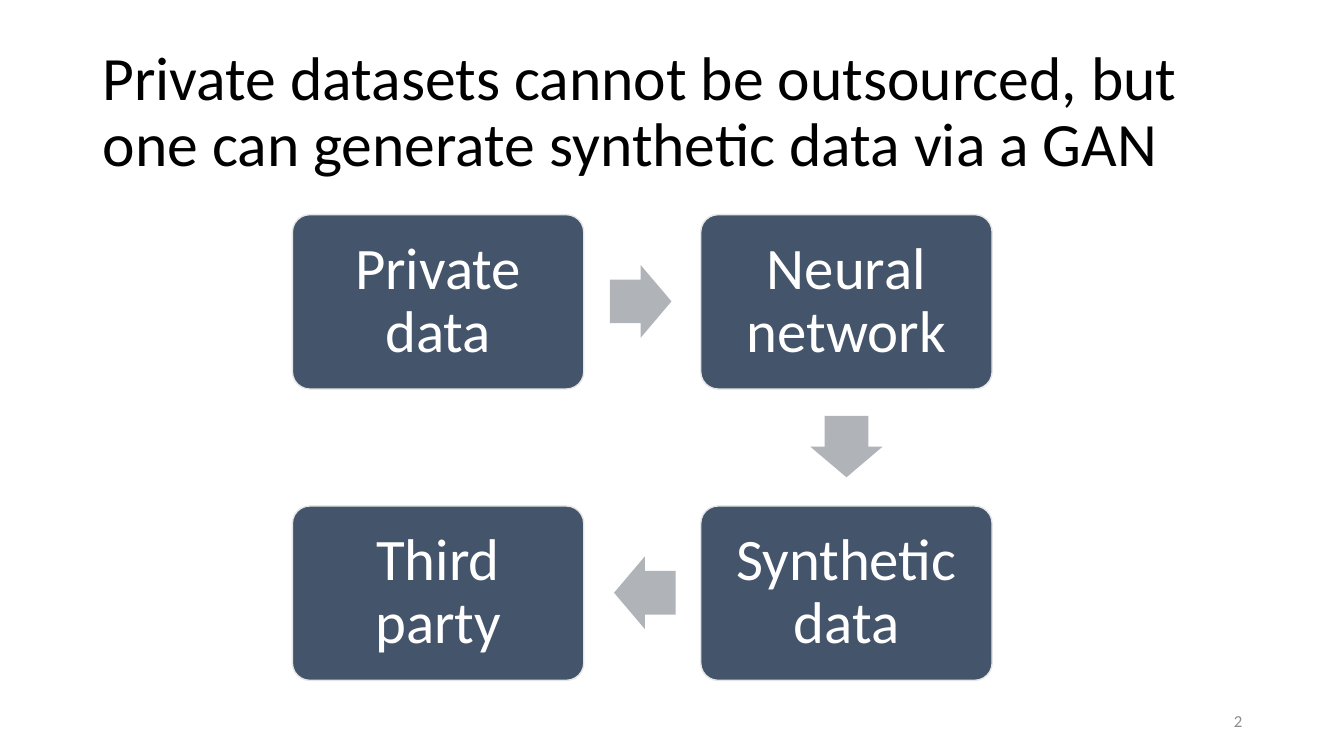
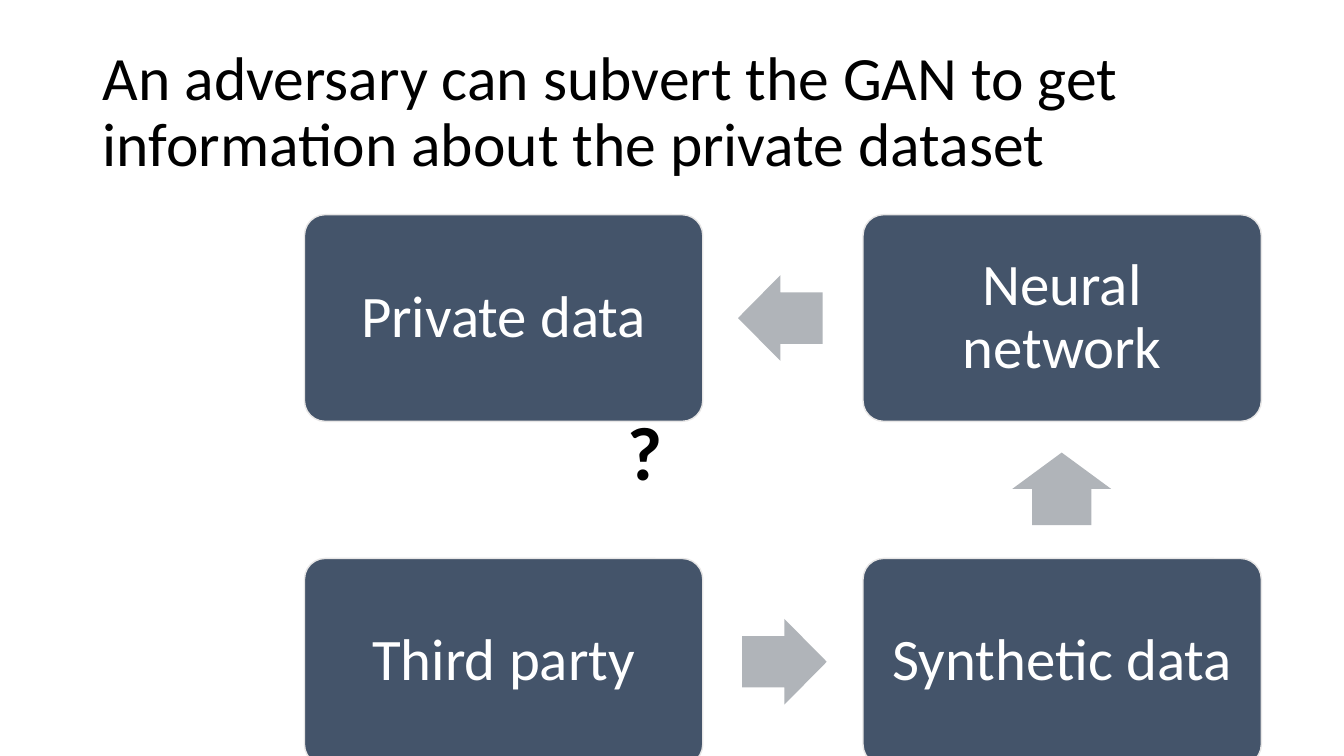
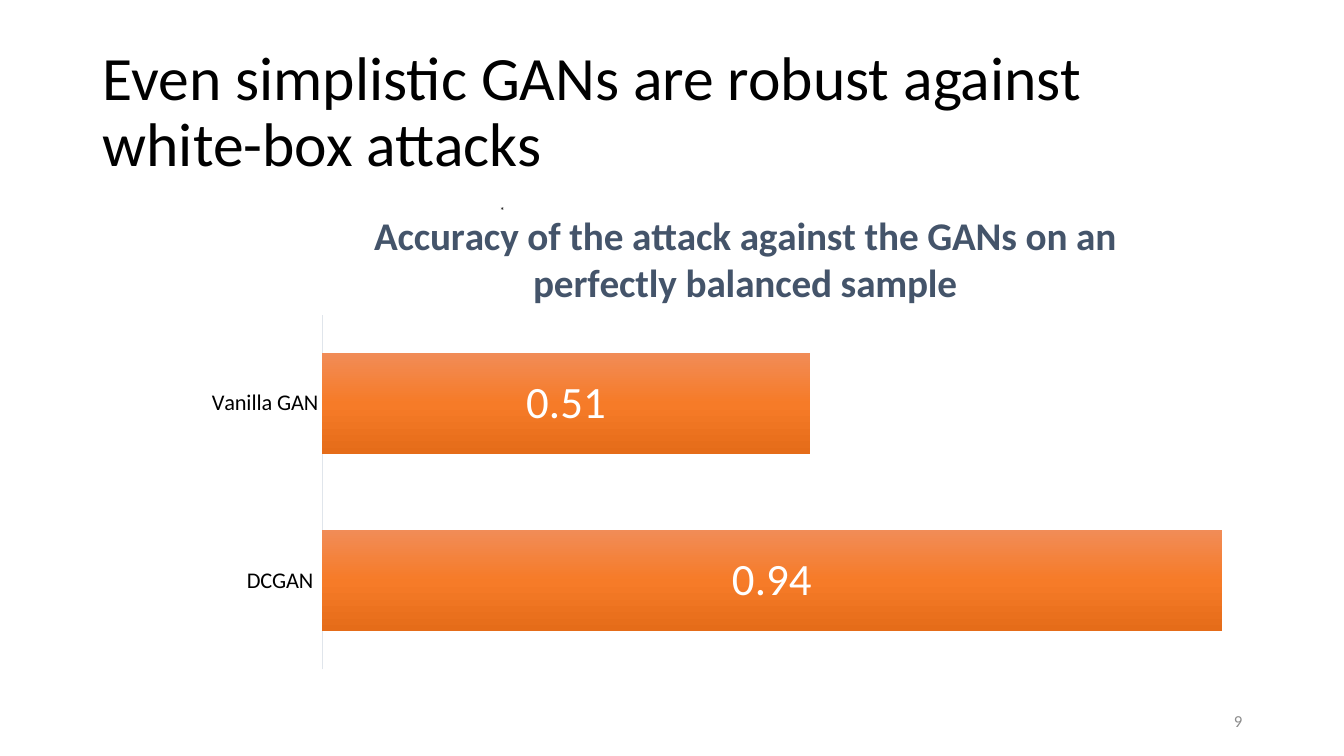
import copy

import pptx
import pptx.chart.data
import pptx.dml.color
import pptx.enum.chart
import pptx.enum.shapes
import pptx.enum.text
import pptx.oxml
import pptx.oxml.ns
import pptx.util

RGB = pptx.dml.color.RGBColor
SHAPE = pptx.enum.shapes.MSO_SHAPE
ALIGN = pptx.enum.text.PP_ALIGN
ANCHOR = pptx.enum.text.MSO_ANCHOR
Pt = pptx.util.Pt
qn = pptx.oxml.ns.qn

PX = 9144  # EMU, 100 px to the inch
FONT = "Calibri"
BLACK = RGB(0x00, 0x00, 0x00)
WHITE = RGB(0xFF, 0xFF, 0xFF)
SLATE = RGB(0x44, 0x54, 0x6A)
ARROW_GREY = RGB(0xB0, 0xB4, 0xB9)
EDGE_GREY = RGB(0xE7, 0xE6, 0xE6)
AXIS_GREY = RGB(0xE0, 0xE5, 0xEB)
NUMBER_GREY = RGB(0x8C, 0x8C, 0x8C)
BAR_STOPS = ((0, RGB(0xF1, 0x8C, 0x57)), (0.5, RGB(0xF6, 0x7B, 0x28)),
             (1, RGB(0xE5, 0x6C, 0x19)))


class Deck:
    def __init__(self):
        self.show = pptx.Presentation()
        self.show.slide_width, self.show.slide_height = 1333 * PX, 750 * PX
        self.slide = None

    def new_slide(self, title, number=None):
        self.slide = self.show.slides.add_slide(self.show.slide_layouts[6])
        self.text(title, (92, 40, 1150, 145), 44, anchor=ANCHOR.MIDDLE, spacing=0.9)
        if number:
            self.text(number, (942, 695, 300, 40), 12, NUMBER_GREY,
                      align=ALIGN.RIGHT, anchor=ANCHOR.MIDDLE)

    @staticmethod
    def place(box):
        return [side * PX for side in box]

    @staticmethod
    def style(font, size, color, bold=False):
        font.name, font.size, font.bold = FONT, Pt(size), bold
        font.color.rgb = color

    def add_words(self, frame, words, size, color, bold=False, align=ALIGN.LEFT,
                  anchor=ANCHOR.TOP, spacing=None, wrap=True):
        frame.word_wrap = wrap
        frame.vertical_anchor = anchor
        paragraph = frame.paragraphs[0]
        paragraph.alignment = align
        paragraph.line_spacing = spacing
        run = paragraph.add_run()
        run.text = words
        self.style(run.font, size, color, bold)

    def text(self, words, box, size, color=BLACK, **layout):
        area = self.slide.shapes.add_textbox(*self.place(box))
        self.add_words(area.text_frame, words, size, color, **layout)

    def shape(self, kind, box, fill, adjustments):
        figure = self.slide.shapes.add_shape(kind, *self.place(box))
        figure.shadow.inherit = False
        figure.fill.solid()
        figure.fill.fore_color.rgb = fill
        figure.line.fill.background()
        for index, value in enumerate(adjustments):
            figure.adjustments[index] = value
        return figure

    def step(self, words, box):
        card = self.shape(SHAPE.ROUNDED_RECTANGLE, box, SLATE, [0.1])
        card.line.color.rgb = EDGE_GREY
        card.line.width = Pt(1)
        frame = card.text_frame
        frame.margin_left = frame.margin_right = 17 * PX
        frame.margin_top = frame.margin_bottom = 17 * PX
        self.add_words(frame, words, 42, WHITE, align=ALIGN.CENTER,
                       anchor=ANCHOR.MIDDLE, spacing=0.9)

    def arrow(self, center_x, center_y, size, angle):
        length, breadth = size
        box = (center_x - length // 2, center_y - breadth // 2, length, breadth)
        self.shape(SHAPE.RIGHT_ARROW, box, ARROW_GREY, [0.6, 0.5]).rotation = angle

    def data_flow(self, left, step_size, pitch, across, down, angles):
        """Four steps in a square, joined along the top, right and bottom."""
        top = 213
        width, height = step_size
        pitch_x, pitch_y = pitch
        for words, column, row in (("Private data", 0, 0), ("Neural network", 1, 0),
                                   ("Synthetic data", 1, 1), ("Third party", 0, 1)):
            self.step(words, (left + column * pitch_x, top + row * pitch_y, width, height))
        middle_x = left + (pitch_x + width) // 2
        middle_y = top + height // 2
        self.arrow(middle_x - 2, middle_y, across, angles[0])
        self.arrow(left + pitch_x + width // 2, top + (pitch_y + height) // 2 - 1,
                   down, angles[1])
        self.arrow(middle_x + 2, middle_y + pitch_y, across, angles[2])

    def bar_chart(self, title, categories, values, box):
        data = pptx.chart.data.CategoryChartData()
        data.categories = categories
        data.add_series("Series 1", values)
        chart = self.slide.shapes.add_chart(
            pptx.enum.chart.XL_CHART_TYPE.BAR_STACKED, *self.place(box), data).chart
        self.style(chart.font, 10, BLACK)
        chart.has_legend = False
        chart.has_title = True
        self.add_words(chart.chart_title.text_frame, title, 28, SLATE, bold=True,
                       align=ALIGN.CENTER)

        names = chart.category_axis
        names.major_tick_mark = pptx.enum.chart.XL_TICK_MARK.NONE
        names.has_major_gridlines = False
        names.format.line.color.rgb = AXIS_GREY
        names.format.line.width = Pt(0.75)
        self.style(names.tick_labels.font, 16, BLACK)
        scale = chart.value_axis
        scale.minimum_scale, scale.maximum_scale = 0, 1
        scale.has_major_gridlines = False
        scale.visible = False

        plot = chart.plots[0]
        plot.gap_width, plot.overlap = 75, 100
        plot.vary_by_categories = False
        plot.has_data_labels = True
        plot.data_labels.show_value = True
        self.style(plot.data_labels.font, 32, WHITE)
        fill = plot.series[0].format.fill
        fill.gradient()
        fill.gradient_angle = 270
        stops = next(chart._chartSpace.iter(qn("a:gsLst")))
        stops.insert(1, copy.deepcopy(stops[0]))
        for stop, (position, color) in zip(fill.gradient_stops, BAR_STOPS):
            stop.position = position
            stop.color.rgb = color
        self.set_plot_area(chart, x=0.12, y=0.26, w=0.86, h=0.72)

    @staticmethod
    def set_plot_area(chart, **fractions):
        area = next(chart._chartSpace.iter(qn("c:plotArea")))
        for old in area.findall(qn("c:layout")):
            area.remove(old)
        modes = '<c:layoutTarget val="inner"/><c:xMode val="edge"/><c:yMode val="edge"/>'
        sides = "".join(f'<c:{key} val="{value}"/>' for key, value in fractions.items())
        area.insert(0, pptx.oxml.parse_xml(
            f'<c:layout {pptx.oxml.ns.nsdecls("c")}><c:manualLayout>{modes}{sides}'
            '</c:manualLayout></c:layout>'))


def main():
    deck = Deck()

    deck.new_slide("Private datasets cannot be outsourced, but one can generate "
                   "synthetic data via a GAN", "2")
    deck.data_flow(290, (289, 173), (405, 289), (61, 72), (61, 72), (0, 90, 180))

    deck.new_slide("An adversary can subvert the GAN to get information about "
                   "the private dataset")
    deck.data_flow(302, (395, 205), (554, 341), (84, 85), (72, 98), (180, 270, 0))
    deck.text("?", (613, 397, 79, 119), 54, bold=True)

    deck.new_slide("Even simplistic GANs are robust against white-box attacks", "9")
    deck.bar_chart("Accuracy of the attack against the GANs on an perfectly balanced sample",
                   ["DCGAN ", "Vanilla GAN"], [0.94, 0.51], (187, 185, 1104, 489))
    deck.text("*", (486, 198, 25, 22), 7, wrap=False)

    deck.show.save("out.pptx")


if __name__ == "__main__":
    main()
